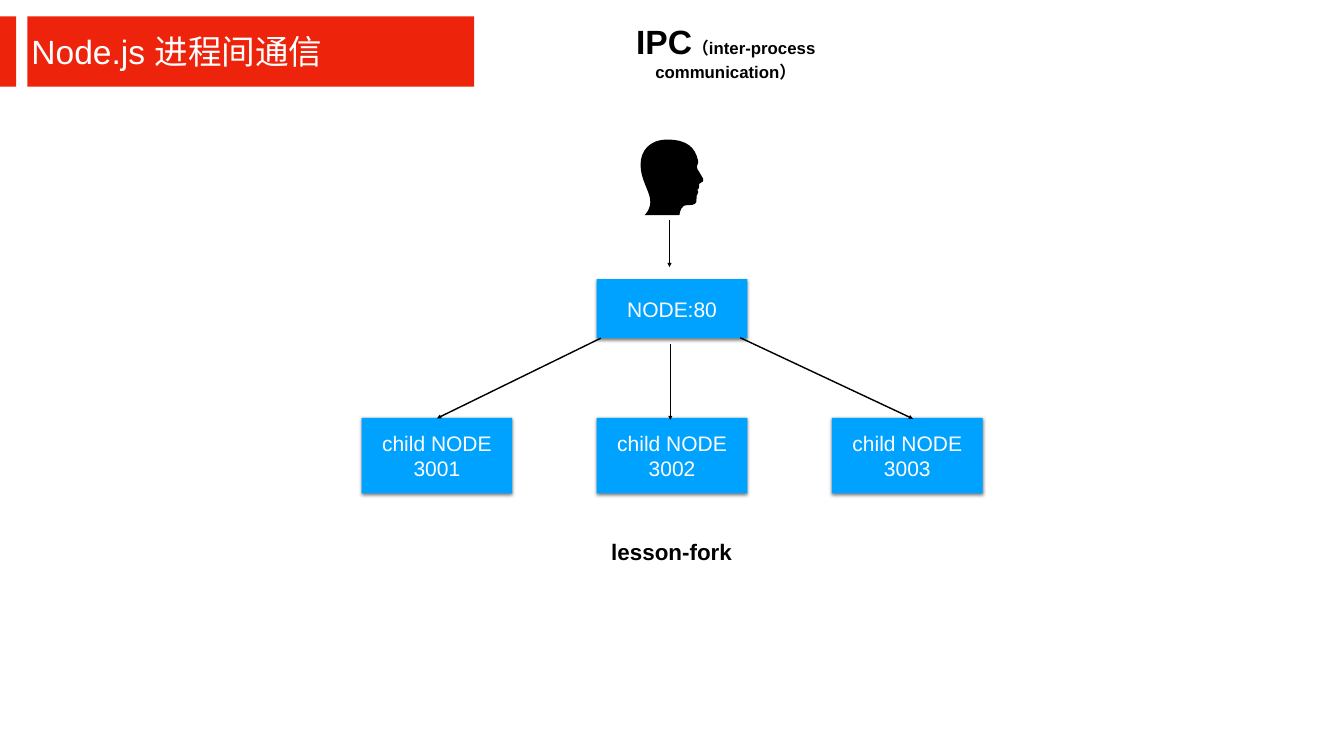
from dataclasses import dataclass

from lxml import etree
from pptx import Presentation
from pptx.dml.color import RGBColor
from pptx.enum.shapes import MSO_CONNECTOR, MSO_SHAPE
from pptx.enum.text import MSO_ANCHOR, PP_ALIGN
from pptx.oxml.ns import qn
from pptx.util import Inches, Pt

RECTANGLE = MSO_SHAPE.RECTANGLE
STRAIGHT = MSO_CONNECTOR.STRAIGHT
MIDDLE = MSO_ANCHOR.MIDDLE
LEFT, CENTER = PP_ALIGN.LEFT, PP_ALIGN.CENTER

SLIDE_WIDTH, SLIDE_HEIGHT = Inches(26.67), Inches(15)
COLUMN, ROW = SLIDE_WIDTH / 80, SLIDE_HEIGHT / 45


@dataclass(frozen=True)
class Theme:
    font: str = "Arial"
    banner: str = "EE230C"
    process: str = "00A2FF"
    ink: str = "000000"
    paper: str = "FFFFFF"
    title_size: int = 48
    caption_size: int = 32
    process_size: int = 30
    detail_size: int = 24
    arrow_weight: int = 2
    inset: float = 0.08


@dataclass(frozen=True)
class Area:
    column: float
    row: float
    columns: float
    rows: float

    def emu(self) -> tuple[int, ...]:
        return (round(self.column * COLUMN), round(self.row * ROW),
                round(self.columns * COLUMN), round(self.rows * ROW))


@dataclass(frozen=True)
class Process:
    area: Area
    lines: tuple[str, ...]


@dataclass(frozen=True)
class Arrow:
    start: tuple[float, float]
    end: tuple[float, float]


THEME = Theme()

CHILD_PITCH = 14
PROCESSES = [Process(Area(35.52, 16.62, 8.97, 3.51), ("NODE:80",))] + [
    Process(Area(21.52 + CHILD_PITCH * index, 24.87, 8.97, 4.5), ("child NODE", str(3001 + index)))
    for index in range(3)
]
ARROWS = [
    Arrow((39.85, 13.08), (39.85, 15.9)),
    Arrow((35.76, 20.13), (26.01, 24.9)),
    Arrow((39.9, 20.5), (39.9, 25)),
    Arrow((44.06, 20.1), (54.35, 24.93)),
]

USER_COLUMN, USER_ROW, USER_UNIT = 38.13, 8.31, 0.03
USER_START = (53, 0)
USER_CURVES = [
    (17, 0, 0, 23, 0, 50), (0, 78, 16, 99, 19, 118), (22, 137, 8, 150, 8, 150),
    (77, 150), (81, 126, 90, 131, 97, 130), (104, 130, 113, 128, 111, 118),
    (110, 112, 112, 110, 114, 106), (117, 103, 112, 100, 112, 100), (115, 98),
    (116, 97, 117, 96, 116, 94), (116, 94, 116, 93, 116, 92),
    (115, 89, 116, 87, 119, 86), (121, 85, 123, 84, 124, 83), (125, 81, 125, 79, 124, 77),
    (120, 71, 116, 63, 113, 59), (109, 52, 116, 49, 114, 41), (108, 16, 93, 0, 53, 0),
]


def write_text(shape, paragraphs, *, size: int, color: str, bold: bool = False,
               align=CENTER, wrap: bool = True, left: float = THEME.inset,
               right: float = THEME.inset) -> None:
    frame = shape.text_frame
    frame.word_wrap = wrap
    frame.vertical_anchor = MIDDLE
    frame.margin_left, frame.margin_right = Inches(left), Inches(right)
    frame.margin_top = frame.margin_bottom = Inches(THEME.inset)
    for index, runs in enumerate(paragraphs):
        paragraph = frame.add_paragraph() if index else frame.paragraphs[0]
        paragraph.alignment = align
        for words, run_size in runs:
            run = paragraph.add_run()
            run.text = words
            run.font.name = THEME.font
            run.font.size = Pt(run_size or size)
            run.font.bold = bold
            run.font.color.rgb = RGBColor.from_string(color)


def paint(shape, color: str) -> None:
    shape.shadow.inherit = False
    shape.fill.solid()
    shape.fill.fore_color.rgb = RGBColor.from_string(color)
    shape.line.fill.background()


def add_block(slide, area: Area, color: str):
    block = slide.shapes.add_shape(RECTANGLE, *area.emu())
    paint(block, color)
    return block


def add_process(slide, process: Process) -> None:
    block = add_block(slide, process.area, THEME.process)
    effects = block._element.spPr.find(qn("a:effectLst"))
    shadow = etree.SubElement(effects, qn("a:outerShdw"), blurRad=str(Pt(5)),
                              dist=str(Pt(2)), dir="5400000", rotWithShape="0")
    shade = etree.SubElement(shadow, qn("a:srgbClr"), val=THEME.ink)
    etree.SubElement(shade, qn("a:alpha"), val="50000")
    write_text(block, [[(line, None)] for line in process.lines],
               size=THEME.process_size, color=THEME.paper)


def add_arrow(slide, arrow: Arrow) -> None:
    ends = [round(value * unit) for point in (arrow.start, arrow.end)
            for value, unit in zip(point, (COLUMN, ROW))]
    connector = slide.shapes.add_connector(STRAIGHT, *ends)
    connector.line.color.rgb = RGBColor.from_string(THEME.ink)
    connector.line.width = Pt(THEME.arrow_weight)
    etree.SubElement(connector.line._get_or_add_ln(), qn("a:tailEnd"), type="triangle")
    etree.SubElement(connector._element.spPr, qn("a:effectLst"))


def user_point(x: float, y: float) -> tuple[int, int]:
    return (round((USER_COLUMN + x * USER_UNIT) * COLUMN),
            round((USER_ROW + y * USER_UNIT) * ROW))


def add_user(slide) -> None:
    builder = slide.shapes.build_freeform(*user_point(*USER_START))
    builder.add_line_segments([user_point(*curve[-2:]) for curve in USER_CURVES], close=True)
    user = builder.convert_to_shape()
    paint(user, THEME.ink)
    segments = list(user._element.iter(qn("a:lnTo")))
    for segment, curve in zip(segments, USER_CURVES):
        if len(curve) == 2:
            continue
        bend = etree.Element(qn("a:cubicBezTo"))
        for x, y in (curve[:2], curve[2:4], curve[4:]):
            across, down = user_point(x, y)
            etree.SubElement(bend, qn("a:pt"), x=str(across - user.left), y=str(down - user.top))
        segment.getparent().replace(segment, bend)


def main() -> None:
    deck = Presentation()
    deck.slide_width, deck.slide_height = SLIDE_WIDTH, SLIDE_HEIGHT
    slide = deck.slides.add_slide(deck.slide_layouts[6])

    add_block(slide, Area(-0.03, 0.98, 0.99, 4.17), THEME.banner)
    title = add_block(slide, Area(1.63, 0.98, 26.6, 4.17), THEME.banner)
    write_text(title, [[("Node.js 进程间通信", None)]],
               size=THEME.title_size, color=THEME.paper, align=LEFT)

    topic = slide.shapes.add_textbox(*Area(37.26, 1.65, 19.92, 2.82).emu())
    write_text(topic, [[("IPC", None), ("（inter-process communication）", THEME.detail_size)]],
               size=THEME.title_size, color=THEME.ink, bold=True, left=0, right=2.68)

    for process in PROCESSES:
        add_process(slide, process)
    add_user(slide)
    for arrow in ARROWS:
        add_arrow(slide, arrow)

    lesson = slide.shapes.add_textbox(*Area(36.11, 31.77, 7.74, 2.07).emu())
    write_text(lesson, [[("lesson-fork", None)]],
               size=THEME.caption_size, color=THEME.ink, bold=True, wrap=False)

    deck.save("out.pptx")


if __name__ == "__main__":
    main()
